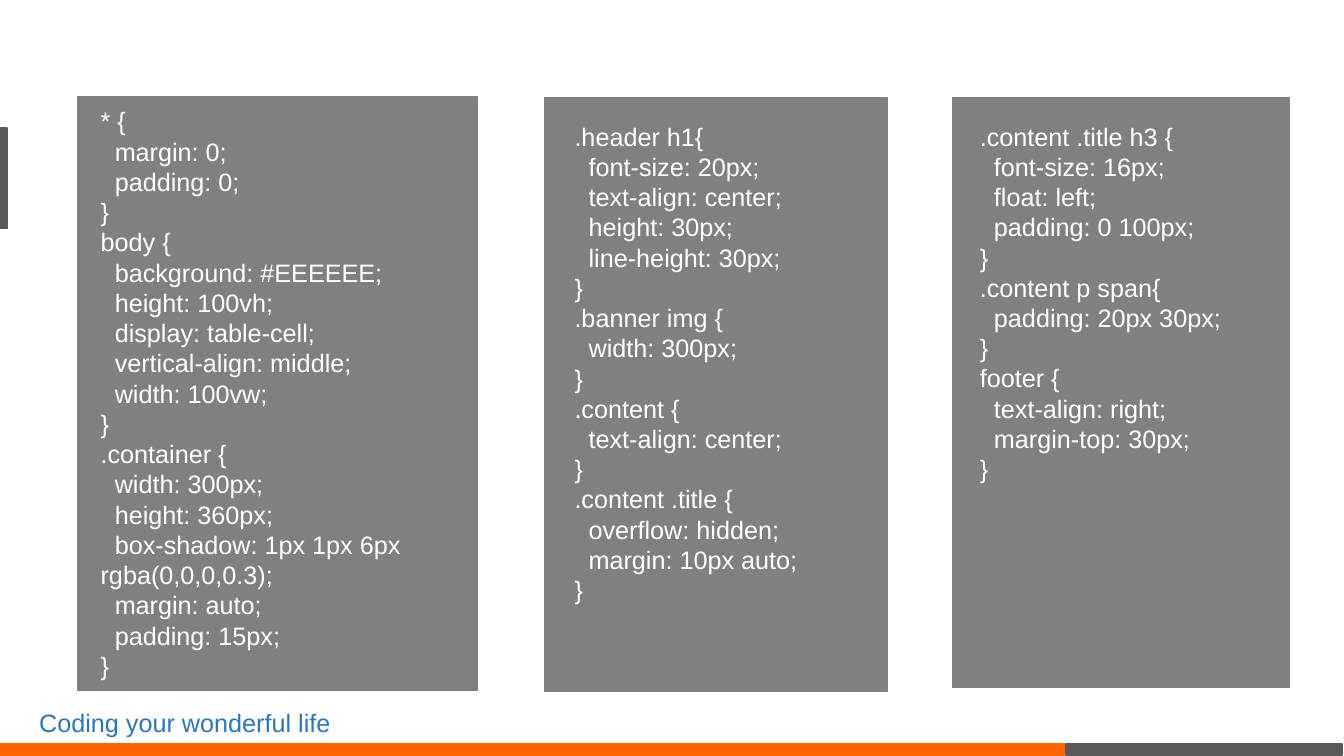
import dataclasses

import pptx
import pptx.dml.color
import pptx.enum.shapes
import pptx.enum.text
import pptx.util

Inches = pptx.util.Inches
Pt = pptx.util.Pt

COLORS = {"orange": "FF6600", "dark": "595959", "panel": "808080",
          "code": "FFFFFF", "motto": "2E75B6"}
FONT = {"name": "Arial", "size": Pt(18)}
FRAME = {"margin_left": Inches(0.1), "margin_right": Inches(0.1),
         "margin_top": Inches(0.05), "margin_bottom": Inches(0.05),
         "vertical_anchor": pptx.enum.text.MSO_ANCHOR.TOP,
         "auto_size": pptx.enum.text.MSO_AUTO_SIZE.SHAPE_TO_FIT_TEXT}
INDENT = Inches(0.14)

RESET = """\
* {
  margin: 0;
  padding: 0;
}
body {
  background: #EEEEEE;
  height: 100vh;
  display: table-cell;
  vertical-align: middle;
  width: 100vw;
}
.container {
  width: 300px;
  height: 360px;
  box-shadow: 1px 1px 6px rgba(0,0,0,0.3);
  margin: auto;
  padding: 15px;
}"""

HEADER = """\
.header h1{
  font-size: 20px;
  text-align: center;
  height: 30px;
  line-height: 30px;
}
.banner img {
  width: 300px;
}
.content {
  text-align: center;
}
.content .title {
  overflow: hidden;
  margin: 10px auto;
}"""

FOOTER = """\
.content .title h3 {
  font-size: 16px;
  float: left;
  padding: 0 100px;
}
.content p span{
  padding: 20px 30px;
}
footer {
  text-align: right;
  margin-top: 30px;
}"""


@dataclasses.dataclass
class Box:
    """Position and size in inches."""
    left: float
    top: float
    width: float
    height: float

    def place(self) -> list:
        """Return the four lengths for a new shape."""
        return [Inches(n) for n in dataclasses.astuple(self)]


@dataclasses.dataclass
class Bar:
    """A plain filled bar."""
    box: Box
    color: str


@dataclasses.dataclass
class Panel:
    """A grey panel with its style sheet code."""
    box: Box
    area: Box
    code: str


BARS = [Bar(Box(-0.01, 7.38, 10.57, 0.11), "orange"),
        Bar(Box(10.57, 7.38, 2.74, 0.11), "dark"),
        Bar(Box(-0.01, 1.27, 0.08, 1), "dark")]
PANELS = [
    Panel(Box(0.77, 0.96, 3.96, 5.89), Box(0.9, 1, 3.83, 5.86), RESET),
    Panel(Box(5.4, 0.97, 3.4, 5.89), Box(5.6, 1.15, 3, 4.95), HEADER),
    Panel(Box(9.45, 0.97, 3.34, 5.85), Box(9.62, 1.15, 3, 3.73), FOOTER),
]


def tint(name: str) -> pptx.dml.color.RGBColor:
    """Look up a colour by name."""
    return pptx.dml.color.RGBColor.from_string(COLORS[name])


def style(target: object, values: dict) -> None:
    """Set each format value on the target."""
    for key, value in values.items():
        setattr(target, key, value)


def draw_bar(slide: pptx.slide.Slide, bar: Bar) -> None:
    """Draw a rectangle with fill and line of one colour."""
    kind = pptx.enum.shapes.MSO_SHAPE.RECTANGLE
    shape = slide.shapes.add_shape(kind, *bar.box.place())
    shape.shadow.inherit = False
    shape.fill.solid()
    shape.fill.fore_color.rgb = tint(bar.color)
    shape.line.color.rgb = tint(bar.color)
    shape.line.width = Pt(1)


def draw_text(slide: pptx.slide.Slide, box: Box, text: str,
              color: str, wrap: bool = True) -> None:
    """Write one paragraph per line, with indented declarations."""
    frame = slide.shapes.add_textbox(*box.place()).text_frame
    style(frame, FRAME | {"word_wrap": wrap})
    for index, line in enumerate(text.splitlines()):
        para = frame.add_paragraph() if index else frame.paragraphs[0]
        if line.startswith(" "):
            para._p.get_or_add_pPr().set("indent", str(INDENT))
        run = para.add_run()
        run.text = line.strip()
        style(run.font, FONT)
        run.font.color.rgb = tint(color)


def draw_panel(slide: pptx.slide.Slide, panel: Panel) -> None:
    """Draw a panel and the code on it."""
    draw_bar(slide, Bar(panel.box, "panel"))
    draw_text(slide, panel.area, panel.code, "code")


def main() -> None:
    """Build the slide and save it."""
    deck = pptx.Presentation()
    deck.slide_width, deck.slide_height = Inches(13.33), Inches(7.5)
    slide = deck.slides.add_slide(deck.slide_layouts.get_by_name("Blank"))
    for bar in BARS:
        draw_bar(slide, bar)
    draw_text(slide, Box(0.29, 6.97, 3.5, 0.4),
              "Coding your wonderful life", "motto", wrap=False)
    for panel in PANELS:
        draw_panel(slide, panel)
    deck.save("out.pptx")


main()
